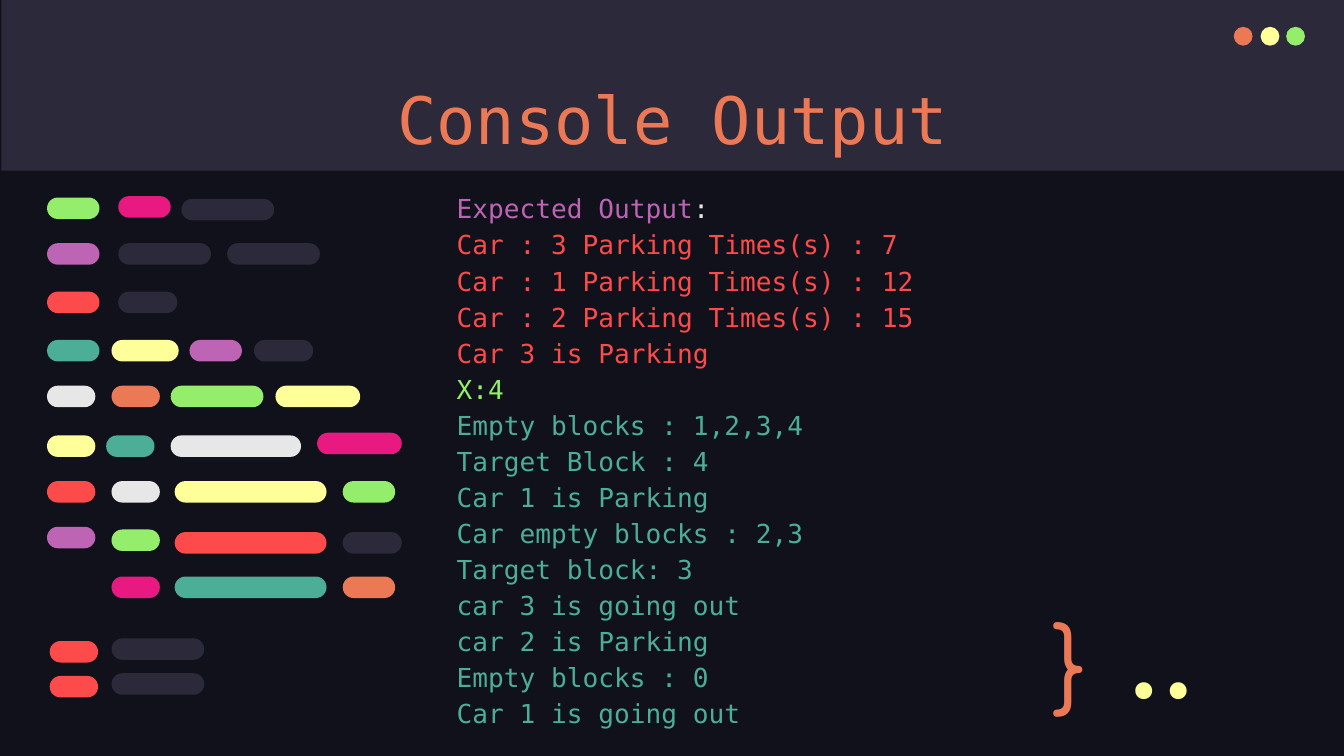
import pptx
import pptx.dml.color
import pptx.enum.shapes
import pptx.enum.text
import pptx.util
from pptx.util import Inches

SHAPE = pptx.enum.shapes.MSO_SHAPE
ALIGN = pptx.enum.text.PP_ALIGN
ANCHOR = pptx.enum.text.MSO_ANCHOR


class Theme:
    night, slate, white = "10111A", "2C293A", "E7E7E7"
    orange, yellow, green = "EC7955", "FFFF99", "94EE6B"
    pink, purple, red, teal = "E81A81", "BD64B5", "FD4A4A", "4CAE97"
    mono, brace_font, dots_font = "DejaVu Sans Mono", "Comfortaa", "Fira Code"
    title_size, body_size, symbol_size = 35, 14, 50


# Decorative code lines: top, then (left, width, colour) of each pill
CODE_LINES = [
    (1.47, [(0.35, 0.39, Theme.green)]),
    (1.46, [(0.88, 0.39, Theme.pink)]),
    (1.48, [(1.35, 0.69, Theme.slate)]),
    (1.81, [(0.35, 0.39, Theme.purple), (0.88, 0.69, Theme.slate),
            (1.69, 0.69, Theme.slate)]),
    (2.17, [(0.35, 0.39, Theme.red), (0.88, 0.44, Theme.slate)]),
    (2.53, [(0.35, 0.39, Theme.teal), (0.83, 0.5, Theme.yellow),
            (1.41, 0.39, Theme.purple), (1.89, 0.44, Theme.slate)]),
    (2.87, [(0.35, 0.36, Theme.white), (0.83, 0.36, Theme.orange),
            (1.27, 0.69, Theme.green), (2.05, 0.63, Theme.yellow)]),
    (3.24, [(0.35, 0.36, Theme.yellow), (0.79, 0.36, Theme.teal),
            (1.27, 0.97, Theme.white)]),
    (3.22, [(2.36, 0.63, Theme.pink)]),
    (3.58, [(0.35, 0.36, Theme.red), (0.83, 0.36, Theme.white),
            (1.3, 1.13, Theme.yellow), (2.55, 0.39, Theme.green)]),
    (3.92, [(0.35, 0.36, Theme.purple)]),
    (3.94, [(0.83, 0.36, Theme.green)]),
    (3.96, [(1.3, 1.13, Theme.red), (2.55, 0.44, Theme.slate)]),
    (4.29, [(0.83, 0.36, Theme.pink), (1.3, 1.13, Theme.teal),
            (2.55, 0.39, Theme.orange)]),
    (4.77, [(0.37, 0.36, Theme.red)]),
    (4.75, [(0.83, 0.69, Theme.slate)]),
    (5.03, [(0.37, 0.36, Theme.red)]),
    (5.01, [(0.83, 0.69, Theme.slate)]),
]

# Console text: each colour with the lines it covers
CONSOLE_BLOCKS = [
    (Theme.purple, ["Expected Output"]),
    (Theme.red, ["Car : 3 Parking Times(s) : 7", "Car : 1 Parking Times(s) : 12",
                 "Car : 2 Parking Times(s) : 15", "Car 3 is Parking"]),
    (Theme.green, ["X:4"]),
    (Theme.teal, ["Empty blocks : 1,2,3,4", "Target Block : 4", "Car 1 is Parking",
                  "Car empty blocks : 2,3", "Target block: 3", "car 3 is going out",
                  "car 2 is Parking", "Empty blocks : 0", "Car 1 is going out"]),
]


class Painter:
    def __init__(self, slide, theme):
        self.slide = slide
        self.theme = theme

    def color(self, value):
        return pptx.dml.color.RGBColor.from_string(value)

    def background(self, fill):
        self.slide.background.fill.solid()
        self.slide.background.fill.fore_color.rgb = self.color(fill)

    def group(self):
        return self.slide.shapes.add_group_shape()

    def shape(self, kind, left, top, width, height, fill, parent=None):
        shapes = (parent or self.slide).shapes
        shape = shapes.add_shape(kind, Inches(left), Inches(top),
                                 Inches(width), Inches(height))
        shape.shadow.inherit = False
        shape.fill.solid()
        shape.fill.fore_color.rgb = self.color(fill)
        shape.line.fill.background()
        return shape

    def pill(self, left, top, width, fill, parent):
        pill = self.shape(SHAPE.ROUNDED_RECTANGLE, left, top, width, 0.16, fill, parent)
        pill.adjustments[0] = 0.5

    def frame(self, box, anchor=ANCHOR.TOP):
        frame = box.text_frame
        frame.word_wrap = True
        frame.auto_size = pptx.enum.text.MSO_AUTO_SIZE.NONE
        frame.vertical_anchor = anchor
        frame.margin_left = frame.margin_right = Inches(0.1)
        frame.margin_top = frame.margin_bottom = Inches(0.1)
        return frame

    def format(self, span, size, font, color):
        span.font.size = pptx.util.Pt(size)
        span.font.name = font
        span.font.color.rgb = self.color(color)

    def title(self, text, left, top, width, height):
        box = self.slide.shapes.title
        box.left, box.top = Inches(left), Inches(top)
        box.width, box.height = Inches(width), Inches(height)
        frame = self.frame(box)
        frame.text = text
        para = frame.paragraphs[0]
        para.alignment = ALIGN.CENTER
        self.format(para.runs[0], self.theme.title_size, self.theme.mono,
                    self.theme.orange)
        # Bring the title in front of the header band
        self.slide.shapes._spTree.append(box._element)

    def text_box(self, left, top, width, height, anchor=ANCHOR.TOP):
        box = self.slide.shapes.add_textbox(Inches(left), Inches(top),
                                            Inches(width), Inches(height))
        return self.frame(box, anchor)

    def symbol(self, text, place, font, color, align=ALIGN.LEFT, anchor=ANCHOR.TOP):
        frame = self.text_box(*place, anchor)
        frame.text = text
        para = frame.paragraphs[0]
        para.alignment = align
        self.format(para.runs[0], self.theme.symbol_size, font, color)

    def console(self, blocks, left, top, width, height):
        frame = self.text_box(left, top, width, height)
        lines = [(line, color) for color, block in blocks for line in block]
        frame.text = "\n".join(line for line, color in lines)
        for para, (line, color) in zip(frame.paragraphs, lines):
            para.line_spacing = 1.15
            para._p.get_or_add_pPr().set("marL", str(Inches(0.5)))
            self.format(para.runs[0], self.theme.body_size, self.theme.mono, color)
        colon = frame.paragraphs[0].add_run()
        colon.text = ":"
        self.format(colon, self.theme.body_size, self.theme.mono, self.theme.white)


def main():
    # Widescreen page, 16 to 9
    deck = pptx.Presentation()
    deck.slide_width = Inches(10)
    deck.slide_height = Inches(10) * 9 // 16
    page = Painter(deck.slides.add_slide(deck.slide_layouts[5]), Theme)
    page.background(Theme.night)

    # Header band with window buttons
    page.shape(SHAPE.RECTANGLE, 0.01, 0, 10, 1.27, Theme.slate)
    buttons = page.group()
    for left, fill in [(9.18, Theme.orange), (9.38, Theme.yellow), (9.57, Theme.green)]:
        page.shape(SHAPE.OVAL, left, 0.2, 0.14, 0.14, fill, buttons)
    page.title("Console Output", 0.79, 0.49, 8.43, 0.63)

    # Decorative code
    code = page.group()
    for top, pills in CODE_LINES:
        for left, width, fill in pills:
            page.pill(left, top, width, fill, code)

    # Console text and closing symbols
    page.console(CONSOLE_BLOCKS, 2.8, 1.3, 6.01, 3.55)
    page.symbol("}", (7.73, 4.38, 0.57, 0.83), Theme.brace_font, Theme.orange)
    page.symbol("..", (8.1, 4.62, 1.07, 0.6), Theme.dots_font, Theme.yellow,
                ALIGN.RIGHT, ANCHOR.MIDDLE)

    deck.save("out.pptx")


if __name__ == "__main__":
    main()
